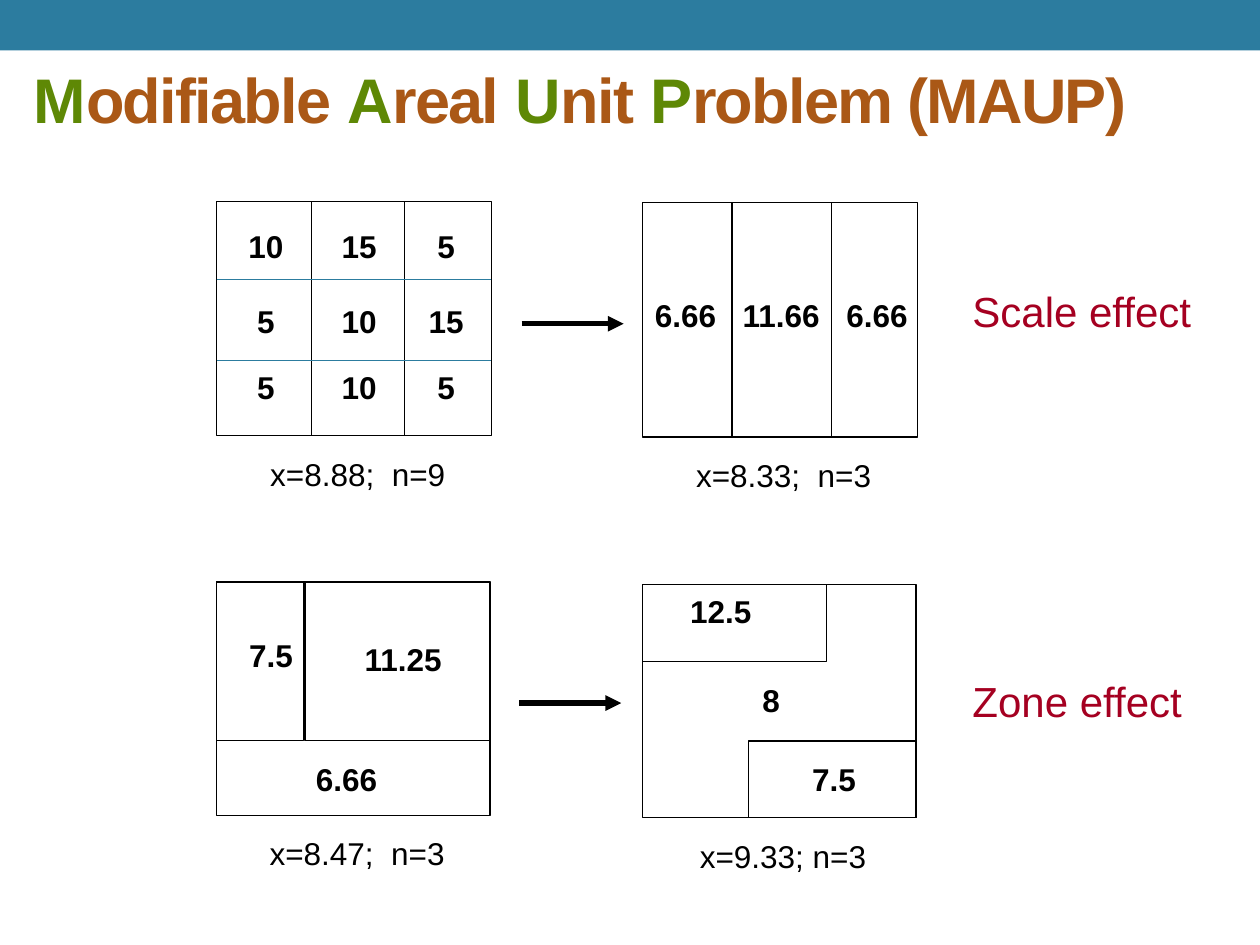
import pptx
import pptx.util
import pptx.dml.color
import pptx.enum.shapes
import pptx.enum.text
import pptx.oxml
import pptx.oxml.ns
from pptx.util import Inches

BLACK, TEAL, RED = "000000", "2C7C9F", "A50021"
GREEN, BROWN = "5E8805", "AA5816"
ALIGN = pptx.enum.text.PP_ALIGN
ANCHOR = pptx.enum.text.MSO_ANCHOR


def rgb(color):
    return pptx.dml.color.RGBColor.from_string(color)


def add_text(shapes, box, text, size=18, color=BLACK, bold=False, align=ALIGN.LEFT,
             anchor=ANCHOR.TOP, wrap=False, spacing=0):
    """Text is a string or a list of (string, color) runs; spacing is in points."""
    tb = shapes.add_textbox(*map(Inches, box))
    tf = tb.text_frame
    tf.word_wrap = wrap
    tf.vertical_anchor = anchor
    p = tf.paragraphs[0]
    p.alignment = align
    for part, part_color in [(text, color)] if isinstance(text, str) else text:
        r = p.add_run()
        r.text = part
        r.font.name = "Arial"
        r.font.size = pptx.util.Pt(size)
        r.font.bold = bold
        r.font.color.rgb = rgb(part_color)
        if spacing:
            r.font._element.set("spc", str(spacing * 100))


def add_rect(shapes, box, fill=None, line=None):
    sp = shapes.add_shape(pptx.enum.shapes.MSO_SHAPE.RECTANGLE, *map(Inches, box))
    sp.shadow.inherit = False
    if fill:
        sp.fill.solid()
        sp.fill.fore_color.rgb = rgb(fill)
    else:
        sp.fill.background()
    if line:
        sp.line.color.rgb = rgb(line)
        sp.line.width = pptx.util.Pt(0.75)
    else:
        sp.line.fill.background()


def add_line(shapes, x, y, length, color, width, arrow=False):
    line = shapes.add_connector(pptx.enum.shapes.MSO_CONNECTOR.STRAIGHT,
                                Inches(x), Inches(y), Inches(x + length), Inches(y))
    line.line.color.rgb = rgb(color)
    line.line.width = pptx.util.Pt(width)
    if arrow:
        tail = pptx.oxml.ns.qn("a:tailEnd")
        line.line._get_or_add_ln().makeelement(tail)
        end = pptx.oxml.parse_xml(f'<a:tailEnd {pptx.oxml.ns.nsdecls("a")} type="triangle"/>')
        line.line._get_or_add_ln().append(end)
    sp_pr = line._element.spPr
    sp_pr.append(sp_pr.makeelement(pptx.oxml.ns.qn("a:effectLst"), {}))


def add_header(shapes, x, y, w):
    add_rect(shapes, (x, y, w, 0.4), fill=TEAL)
    title = [("M", GREEN), ("odifiable ", BROWN), ("A", GREEN), ("real ", BROWN),
             ("U", GREEN), ("nit ", BROWN), ("P", GREEN), ("roblem (MAUP)", BROWN)]
    add_text(shapes, (x + 0.17, y + 0.5, 9, 0.56), title, size=36, bold=True,
             anchor=ANCHOR.MIDDLE, wrap=True, spacing=-1)


def add_map(shapes, x, y, w, h, zones, values, caption):
    """Outline with zones (boxes) and values (centre x, centre y, text) relative to it."""
    group = shapes.add_group_shape().shapes
    add_rect(group, (x, y, w, h), line=BLACK)
    for zx, zy, zw, zh in zones:
        add_rect(group, (x + zx, y + zy, zw, zh), line=BLACK)
    for cx, cy, value in values:
        tw = 0.2 + 0.14 * len(value) - 0.07 * value.count(".")
        add_text(group, (x + cx - tw / 2, y + cy - 0.2, tw, 0.4), value,
                 bold=True, align=ALIGN.CENTER)
    add_text(shapes, (x + w / 2 - 0.8, y + h + 0.1, 1.66, 0.4), caption,
             align=ALIGN.CENTER, anchor=ANCHOR.MIDDLE)


def add_effect(shapes, arrow_x, arrow_y, label_y, label):
    add_line(shapes, arrow_x, arrow_y, 0.81, BLACK, 3, arrow=True)
    add_text(shapes, (7.62, label_y, 1.94, 0.5), label, size=24, color=RED)


def main():
    prs = pptx.Presentation()
    prs.slide_width, prs.slide_height = Inches(10), Inches(7.5)
    shapes = prs.slides.add_slide(prs.slide_layouts[6]).shapes
    add_header(shapes, 0, 0, 10)

    counts = [["10", "15", "5"], ["5", "10", "15"], ["5", "10", "5"]]
    cells = [(cx, cy, value)
             for cy, row in zip((0.35, 0.95, 1.47), counts)
             for cx, value in zip((0.39, 1.13, 1.82), row)]
    add_map(shapes, 1.72, 1.6, 2.18, 1.86, [(0.75, 0, 0.74, 1.86)], cells, "x=8.88;  n=9")
    for y in (2.22, 2.86):
        add_line(shapes, 1.72, y, 2.18, TEAL, 0.75)
    add_map(shapes, 5.1, 1.61, 2.18, 1.86, [(0.71, 0, 0.79, 1.86)],
            [(0.34, 0.89, "6.66"), (1.1, 0.89, "11.66"), (1.86, 0.89, "6.66")],
            "x=8.33;  n=3")
    add_effect(shapes, 4.14, 2.57, 2.22, "Scale effect")

    add_map(shapes, 1.72, 4.62, 2.17, 1.85, [(0, 0, 0.69, 1.26), (0.7, 0, 1.47, 1.26)],
            [(0.43, 0.58, "7.5"), (1.48, 0.61, "11.25"), (1.03, 1.56, "6.66")],
            "x=8.47;  n=3")
    add_map(shapes, 5.1, 4.64, 2.17, 1.85, [(0, 0, 1.46, 0.61), (0.84, 1.24, 1.33, 0.61)],
            [(0.62, 0.21, "12.5"), (1.02, 0.92, "8"), (1.52, 1.54, "7.5")],
            "x=9.33; n=3")
    add_effect(shapes, 4.12, 5.58, 5.31, "Zone effect")
    prs.save("out.pptx")


if __name__ == "__main__":
    main()
